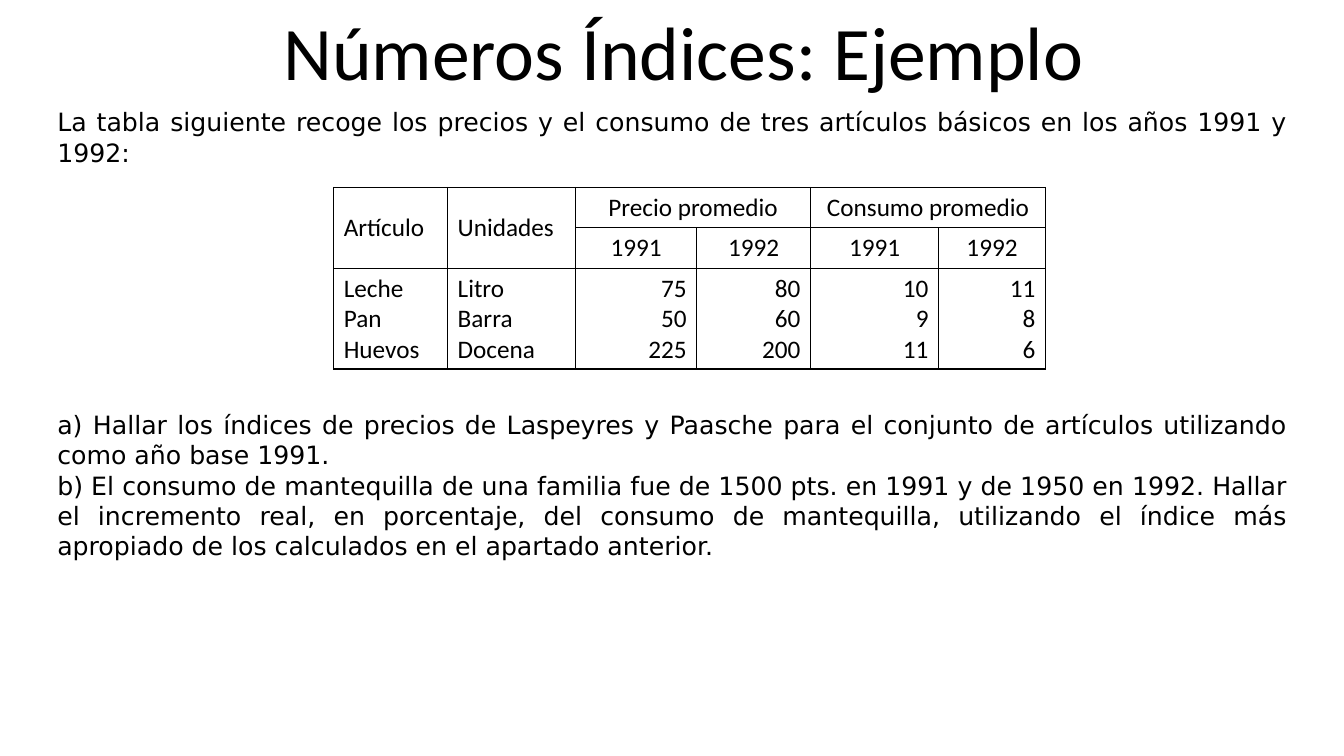
from lxml import etree
from pptx import Presentation
from pptx.dml.color import RGBColor
from pptx.enum.text import MSO_ANCHOR, MSO_AUTO_SIZE, PP_ALIGN
from pptx.oxml.ns import qn
from pptx.util import Inches, Pt

LEFT, CENTER, RIGHT, JUSTIFY = PP_ALIGN.LEFT, PP_ALIGN.CENTER, PP_ALIGN.RIGHT, PP_ALIGN.JUSTIFY
MIDDLE, TOP = MSO_ANCHOR.MIDDLE, MSO_ANCHOR.TOP
NO_FIT = MSO_AUTO_SIZE.NONE

COLORS = {"text": "000000", "border": "000000"}
TITLE = {"name": "Calibri", "size": Pt(54)}
BODY = {"name": "DejaVu Sans", "size": Pt(18)}
CELL = {"name": "Calibri", "size": Pt(18)}

STATEMENT = [
    ("La tabla siguiente recoge los precios y el consumo de tres artículos básicos "
     "en los años 1991 y 1992:", 0),
    ("a) Hallar los índices de precios de Laspeyres y Paasche para el conjunto de "
     "artículos utilizando como año base 1991.", 173),
    ("b) El consumo de mantequilla de una familia fue de 1500 pts. en 1991 y de 1950 "
     "en 1992. Hallar el incremento real, en porcentaje, del consumo de mantequilla, "
     "utilizando el índice más apropiado de los calculados en el apartado anterior.", 0),
]
COL_WIDTHS = [1.13, 1.27, 1.2, 1.13, 1.27, 1.06]
ROW_HEIGHTS = [0.4, 0.4, 1.0]
ROWS = [
    ["Artículo", "Unidades", "Precio promedio", "", "Consumo promedio", ""],
    ["", "", "1991", "1992", "1991", "1992"],
    ["Leche\nPan\nHuevos", "Litro\nBarra\nDocena", "75\n50\n225", "80\n60\n200",
     "10\n9\n11", "11\n8\n6"],
]
MERGES = [((0, 0), (1, 0)), ((0, 1), (1, 1)), ((0, 2), (0, 3)), ((0, 4), (0, 5))]


class SlideBuilder:
    """Holds the presentation style and the current slide."""

    def __init__(self, prs):
        self.slide = prs.slides.add_slide(prs.slide_layouts[5])

    def paragraph(self, p, text, style, align):
        p.text = text
        p.alignment = align
        for r in p.runs:
            for name, value in style.items():
                setattr(r.font, name, value)
            r.font.color.rgb = RGBColor.from_string(COLORS["text"])

    def title(self, text, left, top, width, height):
        sp = self.slide.shapes.title
        box = {"left": left, "top": top, "width": width, "height": height}
        for name, value in box.items():
            setattr(sp, name, Inches(value))
        tf = sp.text_frame
        tf.auto_size = NO_FIT
        tf.word_wrap = False
        tf.vertical_anchor = TOP
        self.paragraph(tf.paragraphs[0], text, TITLE, CENTER)

    def text(self, paragraphs, left, top, width, height):
        sp = self.slide.shapes.add_textbox(*map(Inches, (left, top, width, height)))
        tf = sp.text_frame
        tf.word_wrap = True
        for i, (text, gap) in enumerate(paragraphs):
            p = tf.add_paragraph() if i else tf.paragraphs[0]
            self.paragraph(p, text, BODY, JUSTIFY)
            if gap:
                p.space_before = Pt(gap)

    def borders(self, cell):
        tc_pr = cell._tc.get_or_add_tcPr()
        for side in ("a:lnL", "a:lnR", "a:lnT", "a:lnB"):
            ln = etree.SubElement(tc_pr, qn(side), w=str(Pt(1)))
            fill = etree.SubElement(ln, qn("a:solidFill"))
            etree.SubElement(fill, qn("a:srgbClr"), val=COLORS["border"])

    def table(self, rows, left, top):
        size = sum(COL_WIDTHS), sum(ROW_HEIGHTS)
        frame = self.slide.shapes.add_table(
            len(rows), len(COL_WIDTHS), *map(Inches, (left, top, *size)))
        table = frame.table
        table.first_row = table.horz_banding = False
        for column, width in zip(table.columns, COL_WIDTHS):
            column.width = Inches(width)
        for row, height in zip(table.rows, ROW_HEIGHTS):
            row.height = Inches(height)
        for i, values in enumerate(rows):
            for j, value in enumerate(values):
                cell = table.cell(i, j)
                self.borders(cell)
                cell.fill.background()
                cell.vertical_anchor = MIDDLE
                align = LEFT if j < 2 else CENTER if i < 2 else RIGHT
                self.paragraph(cell.text_frame.paragraphs[0], value, CELL, align)
        for first, last in MERGES:
            table.cell(*first).merge(table.cell(*last))


def main():
    prs = Presentation()
    prs.slide_width, prs.slide_height = Inches(13.33), Inches(7.5)
    s = SlideBuilder(prs)
    s.title("Números Índices: Ejemplo", 2.67, 0, 8.22, 1.01)
    s.text(STATEMENT, 0.47, 1.01, 12.4, 4.95)
    s.table(ROWS, 3.31, 1.86)
    prs.save("out.pptx")


if __name__ == "__main__":
    main()
